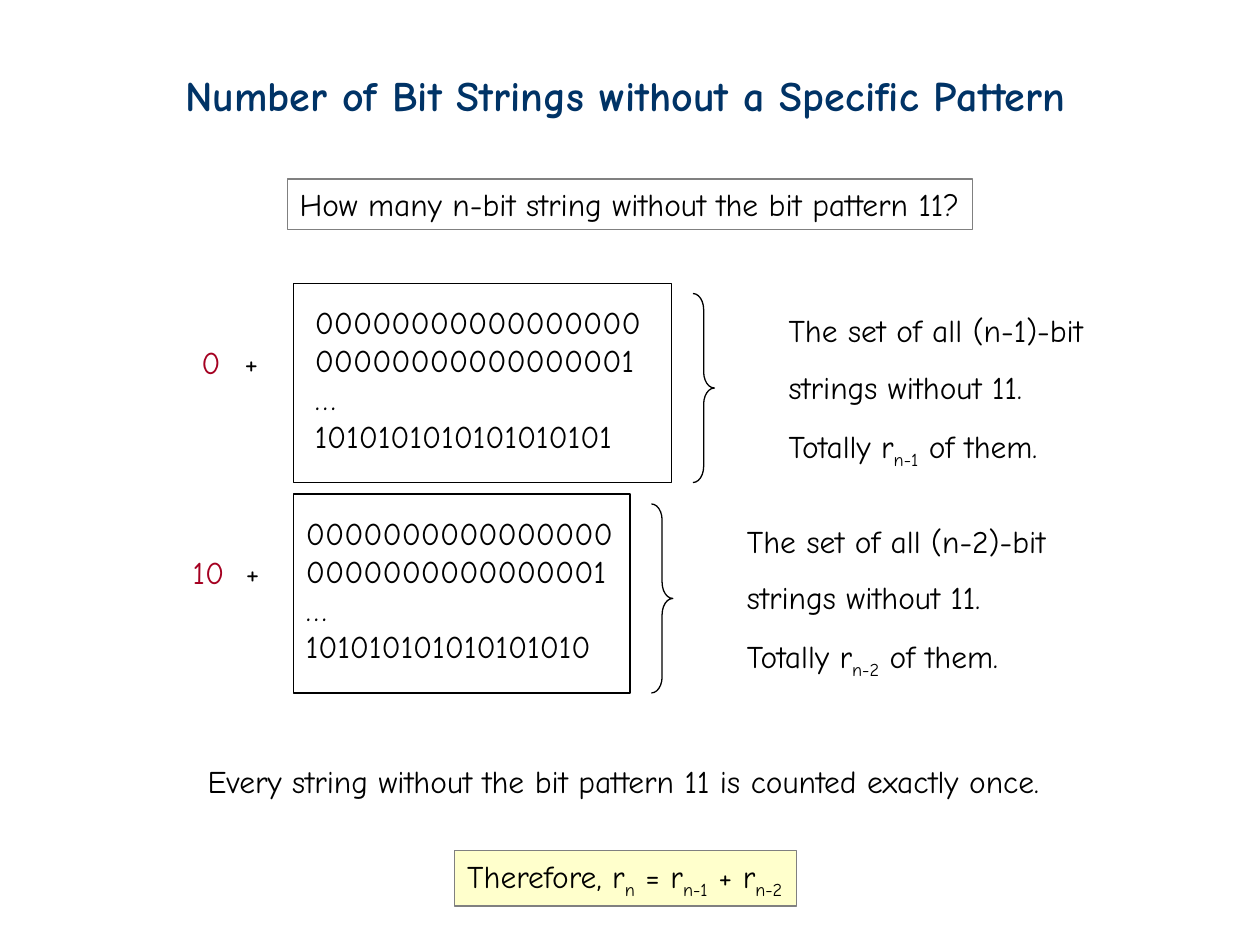
from pptx import Presentation
from pptx.dml.color import RGBColor
from pptx.enum.shapes import MSO_SHAPE
from pptx.enum.text import MSO_ANCHOR, MSO_AUTO_SIZE, PP_ALIGN
from pptx.util import Emu, Pt

RECTANGLE = MSO_SHAPE.RECTANGLE
RIGHT_BRACE = MSO_SHAPE.RIGHT_BRACE
TOP = MSO_ANCHOR.TOP
LEFT = PP_ALIGN.LEFT
GROW = MSO_AUTO_SIZE.SHAPE_TO_FIT_TEXT

PX = 9144  # 100 px to the inch
FONT = "Comic Neue"
BLACK, GRAY, NAVY, RED, CREAM = "000000", "808080", "003366", "A50021", "FFFFCC"

color = RGBColor.from_string


def write(shape, box, lines, text_color=BLACK, size=18, bold=False, spacing=None):
    """Place a shape and fill it; text between bars is subscript."""
    shape.left, shape.top, shape.width, shape.height = [Emu(n * PX) for n in box]
    frame = shape.text_frame
    frame_format = {"word_wrap": False, "auto_size": GROW, "vertical_anchor": TOP}
    for name, value in frame_format.items():
        setattr(frame, name, value)
    for index, line in enumerate(lines):
        paragraph = frame.paragraphs[0] if index == 0 else frame.add_paragraph()
        paragraph.alignment = LEFT
        if spacing and index:
            paragraph.line_spacing = spacing
        for part, text in enumerate(line.split("|")):
            if not text:
                continue
            run = paragraph.add_run()
            run.text = text
            font_format = {"name": FONT, "size": Pt(size), "bold": bold}
            for name, value in font_format.items():
                setattr(run.font, name, value)
            run.font.color.rgb = color(text_color)
            if part % 2:
                run._r.get_or_add_rPr().set("baseline", "-25000")


def outline(preset, box, line_color=BLACK, fill=None):
    shape = slide.shapes.add_shape(preset, *[Emu(n * PX) for n in box])
    shape.shadow.inherit = False
    if fill:
        shape.fill.solid()
        shape.fill.fore_color.rgb = color(fill)
    else:
        shape.fill.background()
    shape.line.color.rgb = color(line_color)
    shape.line.width = Pt(0.75)
    return shape


presentation = Presentation()
presentation.slide_width = Emu(1000 * PX)
presentation.slide_height = Emu(750 * PX)
slide = presentation.slides.add_slide(presentation.slide_layouts[5])

# Title
write(slide.shapes.title, (137, 50, 719, 50),
      ["Number of Bit Strings without a Specific Pattern"], NAVY, 24, True)

# Question
question_box = (228, 142, 544, 40)
write(outline(RECTANGLE, question_box, GRAY), question_box,
      ["How many n-bit string without the bit pattern 11?"])

# The two cases: prefix + list of strings } count
cases = [
    # top, prefix, prefix left and width, plus left, frame width, bits left and width, bits, n
    (225, "0", 150, 35, 184, 300, 240, 282, 17, "n-1"),
    (392, "10", 143, 45, 185, 267, 233, 267, 16, "n-2"),
]
for (top, prefix, prefix_left, prefix_width, plus_left, frame_width,
     bits_left, bits_width, bits, length) in cases:
    outline(RECTANGLE, (233, top, frame_width, 158))
    brace_left = 233 + frame_width + 17
    brace = outline(RIGHT_BRACE, (brace_left, top + 8, 17, 150))
    brace.adjustments[0] = 0.75

    alternating = ("10" * bits)[:bits + 2]
    texts = [
        ((prefix_left, top + 42, prefix_width, 40), [prefix], RED, None),
        ((plus_left, top + 42, 31, 40), ["+"], BLACK, None),
        ((bits_left, top + 11, bits_width, 130),
         ["0" * bits, "0" * (bits - 1) + "1", "…", alternating], BLACK, None),
        ((brace_left + 66, top + 17, 265, 136),
         [f"The set of all ({length})-bit", "strings without 11.",
          f"Totally r|{length}| of them."], BLACK, 1.5),
    ]
    for box, lines, text_color, spacing in texts:
        write(slide.shapes.add_textbox(0, 0, 0, 0), box, lines, text_color, spacing=spacing)

# Conclusion
write(slide.shapes.add_textbox(0, 0, 0, 0), (155, 600, 682, 40),
      ["Every string without the bit pattern 11 is counted exactly once."])
result_box = (361, 675, 271, 44)
write(outline(RECTANGLE, result_box, GRAY, CREAM), result_box,
      ["Therefore, r|n| = r|n-1| + r|n-2|"])

presentation.save("out.pptx")
